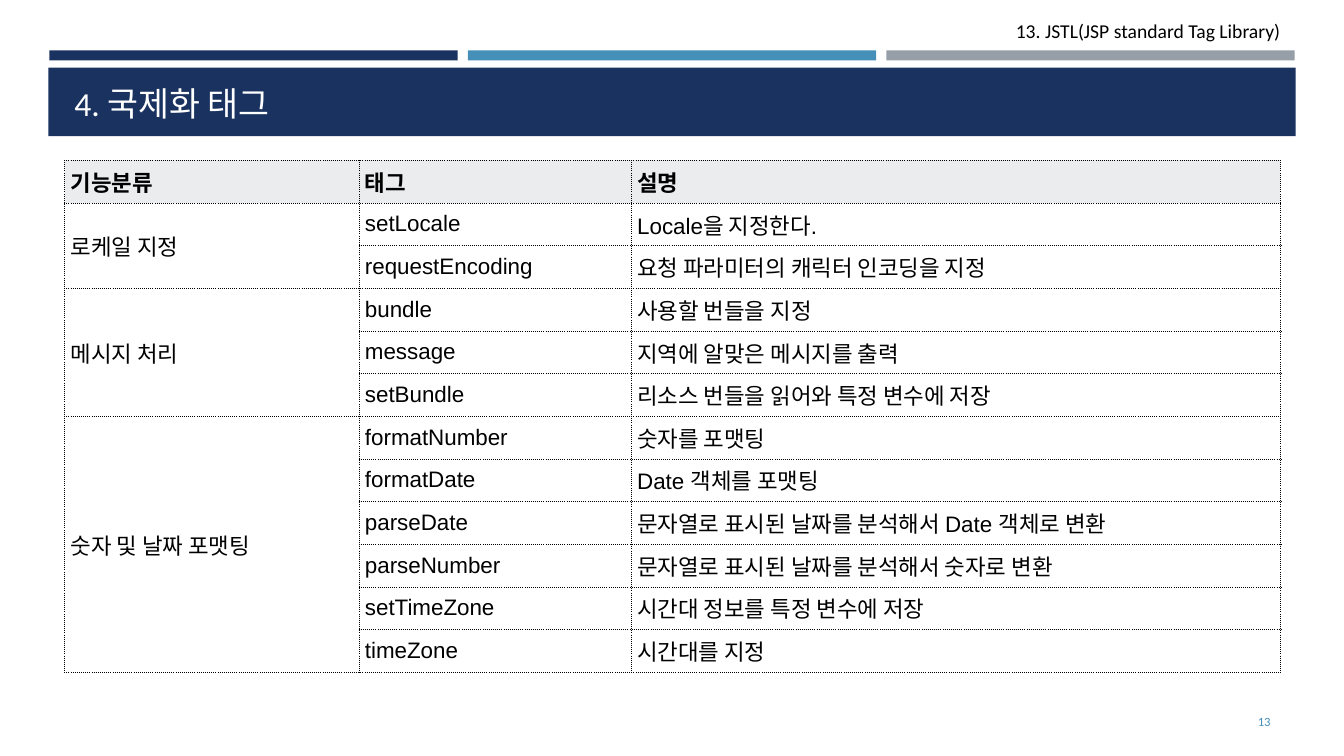
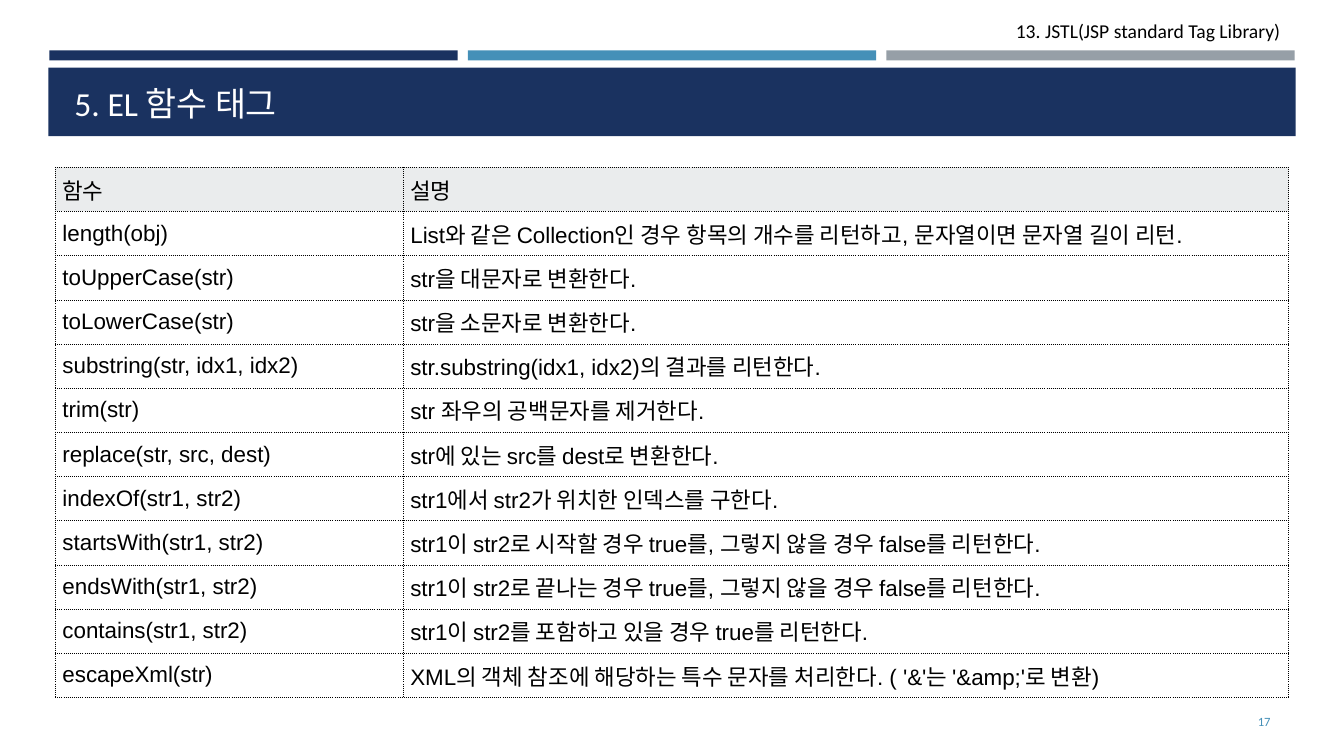
from lxml import etree
from pptx import Presentation
from pptx.dml.color import RGBColor
from pptx.enum.shapes import MSO_SHAPE
from pptx.enum.text import MSO_ANCHOR, PP_ALIGN
from pptx.oxml.ns import qn
from pptx.util import Inches, Pt

RECTANGLE = MSO_SHAPE.RECTANGLE
LEFT, RIGHT, JUSTIFY = PP_ALIGN.LEFT, PP_ALIGN.RIGHT, PP_ALIGN.JUSTIFY
TOP, MIDDLE, BOTTOM = MSO_ANCHOR.TOP, MSO_ANCHOR.MIDDLE, MSO_ANCHOR.BOTTOM

NAVY, BLUE, GRAY = "1A3260", "4590B8", "969FA7"
BLACK, WHITE, HEADER_FILL = "000000", "FFFFFF", "EAECED"
HEADING_FONT, TABLE_FONT = "Calibri", "Arial"
CHAPTER = "13. JSTL(JSP standard Tag Library)"

TAG_GROUPS = [
    ("로케일 지정", [
        ("setLocale", "Locale을 지정한다."),
        ("requestEncoding", "요청 파라미터의 캐릭터 인코딩을 지정"),
    ]),
    ("메시지 처리", [
        ("bundle", "사용할 번들을 지정"),
        ("message", "지역에 알맞은 메시지를 출력"),
        ("setBundle", "리소스 번들을 읽어와 특정 변수에 저장"),
    ]),
    ("숫자 및 날짜 포맷팅", [
        ("formatNumber", "숫자를 포맷팅"),
        ("formatDate", "Date 객체를 포맷팅"),
        ("parseDate", "문자열로 표시된 날짜를 분석해서 Date 객체로 변환"),
        ("parseNumber", "문자열로 표시된 날짜를 분석해서 숫자로 변환"),
        ("setTimeZone", "시간대 정보를 특정 변수에 저장"),
        ("timeZone", "시간대를 지정"),
    ]),
]

EL_FUNCTIONS = [
    ("length(obj)", "List와 같은 Collection인 경우 항목의 개수를 리턴하고, 문자열이면 문자열 길이 리턴."),
    ("toUpperCase(str)", "str을 대문자로 변환한다."),
    ("toLowerCase(str)", "str을 소문자로 변환한다."),
    ("substring(str, idx1, idx2)", "str.substring(idx1, idx2)의 결과를 리턴한다."),
    ("trim(str)", "str 좌우의 공백문자를 제거한다."),
    ("replace(str, src, dest)", "str에 있는 src를 dest로 변환한다."),
    ("indexOf(str1, str2)", "str1에서 str2가 위치한 인덱스를 구한다."),
    ("startsWith(str1, str2)", "str1이 str2로 시작할 경우 true를, 그렇지 않을 경우 false를 리턴한다."),
    ("endsWith(str1, str2)", "str1이 str2로 끝나는 경우 true를, 그렇지 않을 경우 false를 리턴한다."),
    ("contains(str1, str2)", "str1이 str2를 포함하고 있을 경우 true를 리턴한다."),
    ("escapeXml(str)", "XML의 객체 참조에 해당하는 특수 문자를 처리한다. ( '&'는 '&amp;'로 변환)"),
]


def rgb(color):
    return RGBColor.from_string(color)


def write(frame, text, font, size, color, align, bold=False):
    para = frame.paragraphs[0]
    para.text = text
    para.alignment = align
    para.font.name = font
    para.font.size = Pt(size)
    para.font.bold = bold
    para.font.color.rgb = rgb(color)


def add_band(page, box, color):
    band = page.shapes.add_shape(RECTANGLE, *map(Inches, box))
    band.shadow.inherit = False
    band.fill.solid()
    band.fill.fore_color.rgb = rgb(color)
    band.line.fill.background()


def add_label(page, box, text, size, color, align, anchor):
    frame = page.shapes.add_textbox(*map(Inches, box)).text_frame
    frame.word_wrap = True
    frame.vertical_anchor = anchor
    write(frame, text, HEADING_FONT, size, color, align)


def add_page(deck, title, number):
    """Add a slide with the shared bands, chapter name, title and number."""
    page = deck.slides.add_slide(deck.slide_layouts[6])
    for column, color in enumerate((NAVY, BLUE, GRAY)):
        add_band(page, (0.49 + column * 4.15, 0.5, 4.05, 0.1), color)
    add_band(page, (0.48, 0.67, 12.37, 0.68), NAVY)
    add_label(page, (8.76, 0.14, 4.04, 0.34), CHAPTER, 14, BLACK, RIGHT, TOP)
    add_label(page, (0.64, 0.72, 12.06, 0.55), title, 24, WHITE, LEFT, BOTTOM)
    add_label(page, (11.55, 6.96, 1.15, 0.4), str(number), 9, BLUE, RIGHT, MIDDLE)
    return page


def add_dotted_borders(cell):
    properties = cell._tc.get_or_add_tcPr()
    for position, side in enumerate(("lnL", "lnR", "lnT", "lnB")):
        line = etree.Element(qn(f"a:{side}"), w=str(Pt(0.5)))
        fill = etree.SubElement(line, qn("a:solidFill"))
        etree.SubElement(fill, qn("a:srgbClr"), val=BLACK)
        etree.SubElement(line, qn("a:prstDash"), val="sysDot")
        properties.insert(position, line)


def style_cell(cell, text, fill, inset, bold):
    cell.margin_left = cell.margin_right = Inches(inset)
    cell.margin_top = cell.margin_bottom = 0
    cell.vertical_anchor = MIDDLE
    cell.fill.solid()
    cell.fill.fore_color.rgb = rgb(fill)
    add_dotted_borders(cell)
    write(cell.text_frame, text, TABLE_FONT, 16, BLACK, JUSTIFY, bold)


def add_grid(page, box, widths, rows, inset, bold_header=False):
    """Add a table whose first row is the header and whose rows share the height."""
    left, top, width, height = map(Inches, box)
    table = page.shapes.add_table(
        len(rows), len(widths), left, top, width, height).table
    table.first_row = table.horz_banding = False
    for column, column_width in zip(table.columns, widths):
        column.width = Inches(column_width)
    for row_index, texts in enumerate(rows):
        is_header = row_index == 0
        fill = HEADER_FILL if is_header else WHITE
        for cell, text in zip(table.rows[row_index].cells, texts):
            style_cell(cell, text, fill, inset, is_header and bold_header)
    return table


def add_tag_page(deck):
    page = add_page(deck, "4. 국제화 태그", 13)
    rows = [("기능분류", "태그", "설명")]
    spans = []
    for group, tags in TAG_GROUPS:
        spans.append((len(rows), len(rows) + len(tags) - 1))
        for index, (tag, meaning) in enumerate(tags):
            rows.append(("" if index else group, tag, meaning))
    table = add_grid(page, (0.64, 1.59, 12.06, 5.08), (2.92, 2.7, 6.44), rows,
                     0.06, bold_header=True)
    for first, last in spans:
        table.cell(first, 0).merge(table.cell(last, 0))


def add_function_page(deck):
    page = add_page(deck, "5. EL 함수 태그", 17)
    rows = [("함수", "설명")] + EL_FUNCTIONS
    add_grid(page, (0.55, 1.66, 12.23, 5.26), (3.45, 8.78), rows, 0.07)


def main():
    deck = Presentation()
    deck.slide_width, deck.slide_height = Inches(13.33), Inches(7.5)
    add_tag_page(deck)
    add_function_page(deck)
    deck.save("out.pptx")


if __name__ == "__main__":
    main()
